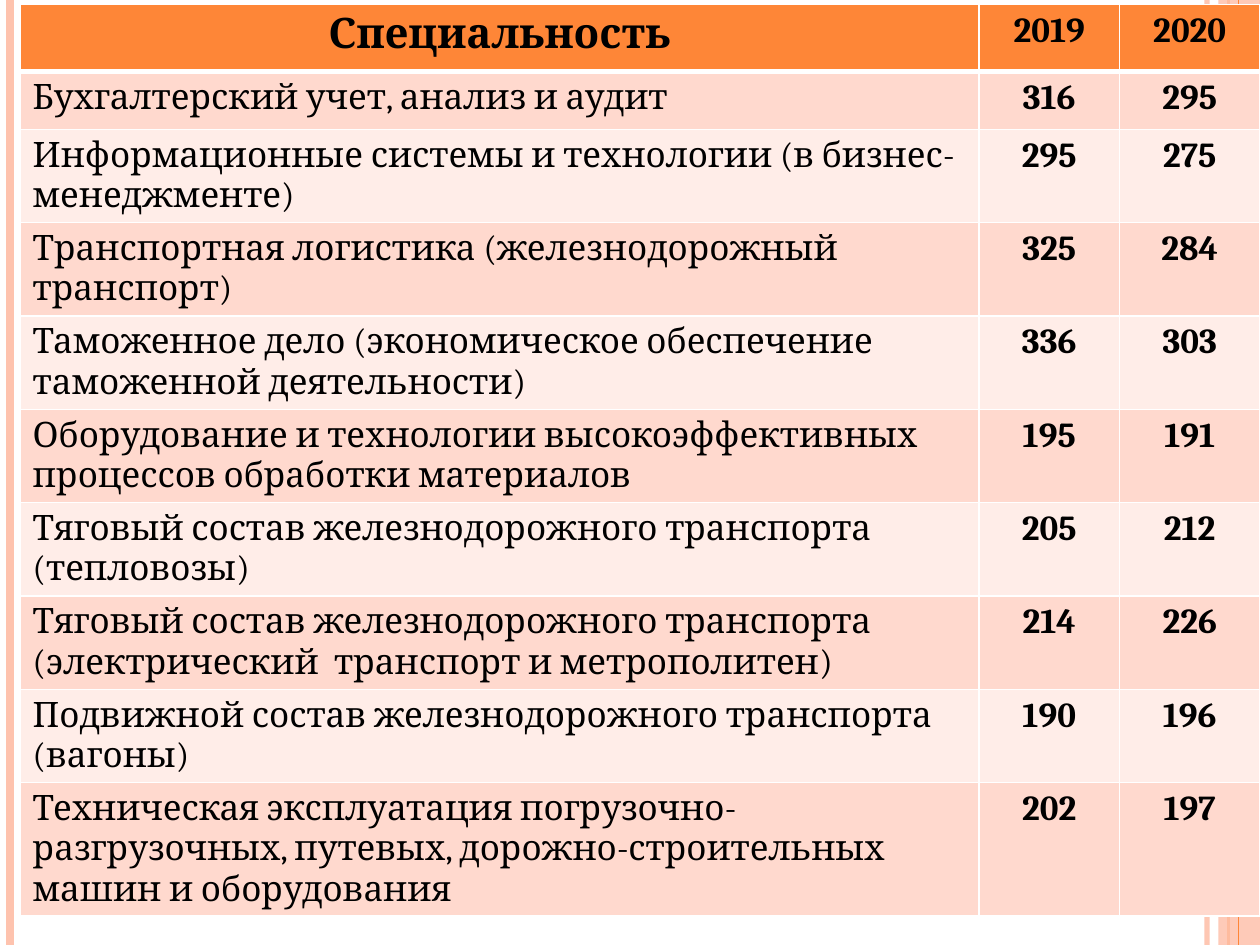
from lxml import etree
from pptx import Presentation
from pptx.dml.color import RGBColor
from pptx.enum.shapes import MSO_CONNECTOR, MSO_SHAPE
from pptx.enum.text import PP_ALIGN
from pptx.oxml.ns import qn
from pptx.util import Inches, Pt

STRAIGHT = MSO_CONNECTOR.STRAIGHT
RECTANGLE = MSO_SHAPE.RECTANGLE
LEFT, CENTER = PP_ALIGN.LEFT, PP_ALIGN.CENTER

ORANGE = RGBColor(0xFE, 0x86, 0x37)
PEACH = RGBColor(0xFE, 0xC3, 0xAE)
BAND_DARK = RGBColor(0xFF, 0xD9, 0xCE)
BAND_LIGHT = RGBColor(0xFF, 0xED, 0xE8)
BLACK = RGBColor(0, 0, 0)
WHITE = RGBColor(0xFF, 0xFF, 0xFF)

WIDTH, HEIGHT = Inches(10), Inches(7.5)
HEADER = ("Специальность", "2019", "2020")
HEADER_HEIGHT = 0.53
ROW_HEIGHTS = {1: 0.46, 2: 0.74, 3: 1.06}  # inches by number of text lines

# Specialty, score in 2019, score in 2020, number of text lines
SCORES = [
    ("Бухгалтерский учет, анализ и аудит", 316, 295, 1),
    ("Информационные системы и технологии (в бизнес-менеджменте)", 295, 275, 2),
    ("Транспортная логистика (железнодорожный транспорт)", 325, 284, 2),
    ("Таможенное дело (экономическое обеспечение таможенной деятельности)", 336, 303, 2),
    ("Оборудование и технологии высокоэффективных процессов обработки материалов", 195, 191, 2),
    ("Тяговый состав железнодорожного транспорта (тепловозы)", 205, 212, 2),
    ("Тяговый состав железнодорожного транспорта (электрический  транспорт и метрополитен)",
     214, 226, 2),
    ("Подвижной состав железнодорожного транспорта (вагоны)", 190, 196, 2),
    ("Техническая эксплуатация погрузочно-разгрузочных, путевых, "
     "дорожно-строительных машин и оборудования", 202, 197, 3),
]


def write_text(frame, text, size=20, bold=False, align=LEFT, color=BLACK):
    paragraph = frame.paragraphs[0]
    paragraph.alignment = align
    run = paragraph.add_run()
    run.text = text
    run.font.name = "Cambria"
    run.font.size = Pt(size)
    run.font.bold = bold
    run.font.color.rgb = color


def set_alpha(element, percent):
    color = next(element.iter(qn("a:srgbClr")))
    etree.SubElement(color, qn("a:alpha"), val=str(percent * 1000))


def set_borders(cell, bottom_width):
    properties = cell._tc.get_or_add_tcPr()
    for index, side in enumerate("LRTB"):
        width = bottom_width if side == "B" else 1
        line = etree.Element(qn(f"a:ln{side}"), w=str(Pt(width)))
        fill = etree.SubElement(line, qn("a:solidFill"))
        etree.SubElement(fill, qn("a:srgbClr"), val=str(WHITE))
        properties.insert(index, line)


class SlideBuilder:
    """Draws elements on one slide; x positions are shares of its width."""

    def __init__(self, slide):
        self.slide = slide
        self.shapes = slide.shapes

    def stripe(self, x, width, color, opacity=100):
        left = round(WIDTH * x)
        line = self.shapes.add_connector(STRAIGHT, left, 0, left, HEIGHT)
        line.line.color.rgb = color
        line.line.width = Pt(width)
        properties = line._element.spPr
        etree.SubElement(properties, qn("a:effectLst"))
        if opacity < 100:
            set_alpha(properties, opacity)

    def band(self, x, color, opacity):
        left = round(WIDTH * x)
        shape = self.shapes.add_shape(RECTANGLE, left, 0, WIDTH - left, HEIGHT)
        shape.shadow.inherit = False
        shape.fill.solid()
        shape.fill.fore_color.rgb = color
        shape.line.fill.background()
        set_alpha(shape._element.spPr, opacity)

    def cell(self, cell, text, fill, bottom_width=1, **text_format):
        cell.fill.solid()
        cell.fill.fore_color.rgb = fill
        set_borders(cell, bottom_width)
        write_text(cell.text_frame, text, **text_format)

    def score_table(self, x, y, name_share):
        left, top = round(WIDTH * x), round(HEIGHT * y)
        heights = [HEADER_HEIGHT] + [ROW_HEIGHTS[row[-1]] for row in SCORES]
        frame = self.shapes.add_table(len(heights), len(HEADER), left, top,
                                      WIDTH - left, Inches(sum(heights)))
        table = frame.table

        # The year columns share what the name column leaves
        name_width = round(WIDTH * name_share)
        year_width = (WIDTH - left - name_width) // 2
        for column, width in zip(table.columns, (name_width, year_width, year_width)):
            column.width = width
        for row, height in zip(table.rows, heights):
            row.height = Inches(height)

        # Header row
        for column, text in enumerate(HEADER):
            self.cell(table.cell(0, column), text, ORANGE, bottom_width=3,
                      size=20 if column else 24, bold=True, align=CENTER)

        # Banded score rows
        for row, (name, *scores, _) in enumerate(SCORES, start=1):
            fill = BAND_DARK if row % 2 else BAND_LIGHT
            self.cell(table.cell(row, 0), name, fill)
            for column, score in enumerate(scores, start=1):
                self.cell(table.cell(row, column), str(score), fill,
                          bold=True, align=CENTER)


def main():
    presentation = Presentation()
    presentation.slide_width, presentation.slide_height = WIDTH, HEIGHT
    builder = SlideBuilder(presentation.slides.add_slide(presentation.slide_layouts[6]))

    # Decorative stripes along the edges
    builder.stripe(0.958, 3, PEACH, opacity=93)
    builder.stripe(0.008, 4.5, PEACH)
    builder.stripe(0.975, 1.5, ORANGE)
    builder.band(0.967, PEACH, opacity=87)
    builder.stripe(0.983, 0.75, ORANGE)

    # Scores by specialty
    builder.score_table(x=0.016, y=0.005, name_share=0.761)

    presentation.save("out.pptx")


if __name__ == "__main__":
    main()
